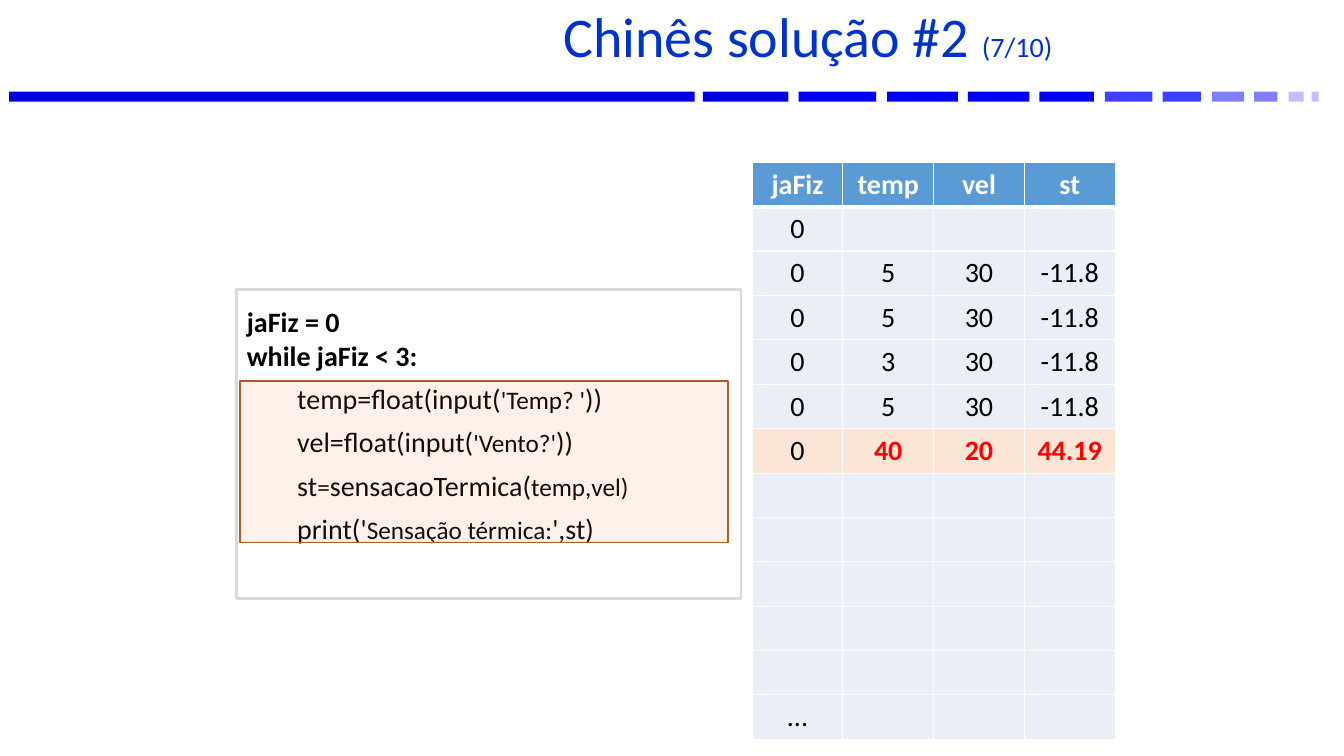
"""Build the slide that traces a Python loop beside a table of values."""
from typing import NamedTuple

from lxml import etree
from pptx import Presentation, util as u
from pptx.dml.color import RGBColor
from pptx.enum import shapes as s, text as t
from pptx.oxml.ns import qn

PX = 9144
FONT = "Calibri"
INK = {
    "title": "0033CC", "text": "000000", "white": "FFFFFF", "red": "FF0000",
    "frame": "D9D9D9", "glow": "ED7D31", "rust": "AF5C24",
    "head": "5B9BD5", "body": "EAEFF7", "mark": "FBE5D6",
    "deep": "0000E0", "blue": "0000FF", "mid": "4040FF",
    "soft": "8080FF", "pale": "C0C0FF",
}


class Box(NamedTuple):
    x: int
    y: int
    w: int
    h: int


class Bar(NamedTuple):
    x: int
    w: int
    ink: str


class Run(NamedTuple):
    text: str
    size: int = 20
    bold: bool = False
    ink: str = "text"


class Line(NamedTuple):
    runs: list[Run]
    inner: bool = False


BARS = [
    Bar(1301, 7, "pale"), Bar(1278, 15, "pale"),
    Bar(1244, 23, "soft"), Bar(1202, 32, "soft"),
    Bar(1153, 38, "mid"), Bar(1096, 47, "mid"),
    Bar(1031, 54, "blue"), Bar(960, 61, "blue"),
    Bar(880, 70, "blue"), Bar(792, 77, "blue"),
    Bar(697, 85, "deep"), Bar(9, 680, "deep"),
]
ROWS = [
    ["jaFiz", "temp", "vel", "st"],
    ["0"],
    ["0", "5", "30", "-11.8"],
    ["0", "5", "30", "-11.8"],
    ["0", "3", "30", "-11.8"],
    ["0", "5", "30", "-11.8"],
    ["0", "40", "20", "44.19"],
    [], [], [], [], [],
    ["..."],
]
HOT = 6
GRID = Box(746, 161, 90, 44)
CODE = [
    Line([Run("jaFiz = 0", bold=True)]),
    Line([Run("while jaFiz < 3:", bold=True)]),
    Line([Run("temp=float(input("), Run("'Temp? '", 18), Run("))")], True),
    Line([Run("vel=float(input("), Run("'Vento?'", 18), Run("))")], True),
    Line([Run("st"), Run("=", 18), Run("sensacaoTermica("),
          Run("temp,vel)", 18)], True),
    Line([Run("print('"), Run("Sensação térmica:", 18), Run("',st)")], True),
]


def rgb(ink: str) -> RGBColor:
    return RGBColor.from_string(INK[ink])


def place(box: Box) -> list[u.Emu]:
    return [u.Emu(n * PX) for n in box]


def write(para, runs: list[Run]) -> None:
    for item in runs:
        run = para.add_run()
        run.text = item.text
        font = run.font
        font.name, font.size, font.bold = FONT, u.Pt(item.size), item.bold
        font.color.rgb = rgb(item.ink)


def rect(slide, box: Box, fill: str, line: str = "", width: int = 1):
    shape = slide.shapes.add_shape(s.MSO_SHAPE.RECTANGLE, *place(box))
    shape.shadow.inherit = False
    shape.fill.solid()
    shape.fill.fore_color.rgb = rgb(fill)
    if line:
        shape.line.color.rgb = rgb(line)
        shape.line.width = u.Pt(width)
    else:
        shape.line.fill.background()
    return shape


def edge(cell, base: int) -> None:
    props = cell._tc.get_or_add_tcPr()
    for spot, (tag, width) in enumerate(
            [("lnL", 1), ("lnR", 1), ("lnT", 1), ("lnB", base)]):
        line = etree.Element(qn("a:" + tag), w=str(u.Pt(width)))
        fill = etree.SubElement(line, qn("a:solidFill"))
        etree.SubElement(fill, qn("a:srgbClr"), val=INK["white"])
        props.insert(spot, line)


def style(row: int, col: int) -> tuple[str, str, bool]:
    if row == 0:
        return "head", "white", True
    if row == HOT:
        return ("mark", "red", True) if col else ("mark", "text", False)
    return "body", "text", False


def draw_grid(slide) -> None:
    cols = len(ROWS[0])
    area = Box(GRID.x, GRID.y, GRID.w * cols, GRID.h * len(ROWS))
    table = slide.shapes.add_table(len(ROWS), cols, *place(area)).table
    table.horz_banding = False
    for col in table.columns:
        col.width = u.Emu(GRID.w * PX)
    for r, words in enumerate(ROWS):
        table.rows[r].height = u.Emu(GRID.h * PX)
        for c in range(cols):
            cell = table.cell(r, c)
            fill, ink, bold = style(r, c)
            cell.fill.solid()
            cell.fill.fore_color.rgb = rgb(fill)
            edge(cell, 1 if r else 3)
            cell.vertical_anchor = t.MSO_ANCHOR.MIDDLE
            if c < len(words):
                para = cell.text_frame.paragraphs[0]
                para.alignment = t.PP_ALIGN.CENTER
                write(para, [Run(words[c], 20, bold, ink)])


def draw_title(slide) -> None:
    frame = slide.shapes.add_textbox(*place(Box(257, 6, 1076, 70))).text_frame
    frame.word_wrap = True
    frame.vertical_anchor = t.MSO_ANCHOR.MIDDLE
    para = frame.paragraphs[0]
    para.alignment = t.PP_ALIGN.CENTER
    para.line_spacing = 0.8
    write(para, [Run(" Chinês solução #2 ", 40, ink="title"),
                 Run("(7/10)", ink="title")])


def draw_code(slide) -> None:
    frame = rect(slide, Box(235, 287, 500, 307), "white", "frame", 2).text_frame
    frame.word_wrap = True
    frame.vertical_anchor = t.MSO_ANCHOR.MIDDLE
    frame.margin_top = 0
    frame.margin_bottom = u.Emu(38 * PX)
    for n, line in enumerate(CODE):
        para = frame.add_paragraph() if n else frame.paragraphs[0]
        para.alignment = t.PP_ALIGN.LEFT
        if line.inner:
            para.level = 1
            para.line_spacing = 1.2
            para.space_before = u.Pt(2)
            props = para._p.get_or_add_pPr()
            props.set("marL", str(50 * PX))
            props.set("indent", "0")
        write(para, line.runs)
    glow = rect(slide, Box(238, 378, 484, 160), "glow", "rust")
    tint = glow.fill._xPr.find(qn("a:solidFill"))[0]
    etree.SubElement(tint, qn("a:alpha"), val="10000")


def main() -> None:
    deck = Presentation()
    deck.slide_width, deck.slide_height = u.Emu(1333 * PX), u.Emu(750 * PX)
    slide = deck.slides.add_slide(deck.slide_layouts[6])
    for bar in BARS:
        rect(slide, Box(bar.x, 91, bar.w, 10), bar.ink)
    draw_grid(slide)
    draw_title(slide)
    draw_code(slide)
    deck.save("out.pptx")


if __name__ == "__main__":
    main()
